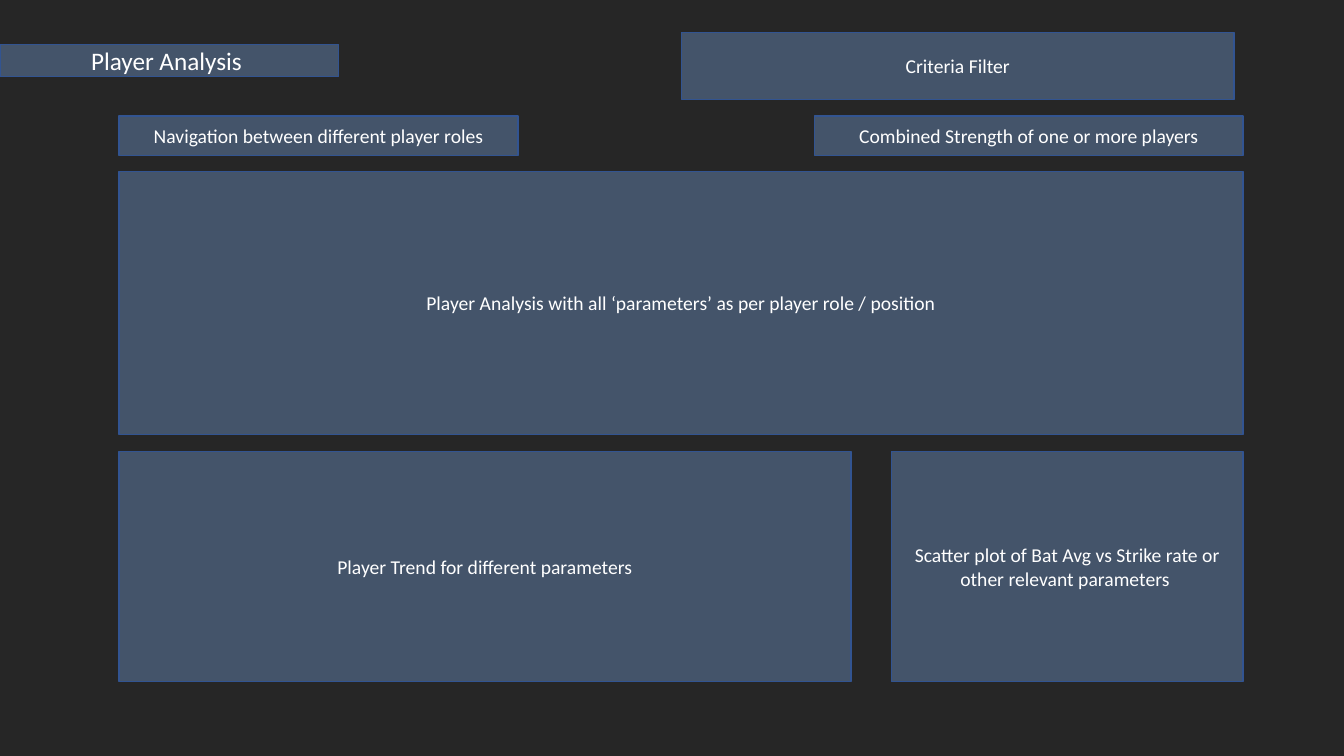
from pptx import Presentation
from pptx.dml.color import RGBColor
from pptx.enum.shapes import MSO_SHAPE
from pptx.enum.text import MSO_ANCHOR, MSO_AUTO_SIZE, PP_ALIGN
from pptx.util import Inches, Pt

BACKGROUND = RGBColor(0x26, 0x26, 0x26)
PANEL_FILL = RGBColor(0x44, 0x54, 0x6A)
PANEL_LINE = RGBColor(0x32, 0x54, 0x91)
TEXT = RGBColor(0xFF, 0xFF, 0xFF)


class Wireframe:
    font = "Calibri"
    title_size = Pt(18)
    panel_size = Pt(14)

    def __init__(self, slide):
        self.slide = slide
        slide.background.fill.solid()
        slide.background.fill.fore_color.rgb = BACKGROUND

    def style(self, shape, text, size):
        shape.fill.solid()
        shape.fill.fore_color.rgb = PANEL_FILL
        shape.line.color.rgb = PANEL_LINE
        shape.line.width = Pt(1)
        frame = shape.text_frame
        frame.word_wrap = True
        frame.auto_size = MSO_AUTO_SIZE.NONE
        frame.vertical_anchor = MSO_ANCHOR.MIDDLE
        paragraph = frame.paragraphs[0]
        paragraph.alignment = PP_ALIGN.CENTER
        run = paragraph.add_run()
        run.text = text
        run.font.name = self.font
        run.font.size = size
        run.font.color.rgb = TEXT

    def title(self, text, left, top, width, height):
        heading = self.slide.shapes.title
        heading.left, heading.top = Inches(left), Inches(top)
        heading.width, heading.height = Inches(width), Inches(height)
        self.style(heading, text, self.title_size)

    def panel(self, container, text, left, top, width, height):
        panel = container.add_shape(
            MSO_SHAPE.RECTANGLE,
            Inches(left), Inches(top), Inches(width), Inches(height),
        )
        panel.shadow.inherit = False
        self.style(panel, text, self.panel_size)

    def panel_group(self, panels):
        group = self.slide.shapes.add_group_shape()
        for text, *box in panels:
            self.panel(group.shapes, text, *box)


def main():
    deck = Presentation()
    deck.slide_width, deck.slide_height = Inches(13.33), Inches(7.5)
    wireframe = Wireframe(deck.slides.add_slide(deck.slide_layouts[5]))

    left, right = 1.18, 12.33
    navigation_top, navigation_height = 1.15, 0.39
    strength_width = 4.25
    detail_top, detail_height = 4.48, 2.28
    scatter_width = 3.49

    wireframe.title("Player Analysis ", 0, 0.44, 3.36, 0.32)
    wireframe.panel_group([
        ("Player Analysis with all ‘parameters’ as per player role / position",
         left, 1.7, right - left, 2.61),
        ("Player Trend for different parameters",
         left, detail_top, 7.26, detail_height),
        ("Combined Strength of one or more players",
         right - strength_width, navigation_top, strength_width, navigation_height),
        ("Scatter plot of Bat Avg vs Strike rate or other relevant parameters ",
         right - scatter_width, detail_top, scatter_width, detail_height),
        ("Navigation between different player roles",
         left, navigation_top, 3.96, navigation_height),
    ])
    wireframe.panel(wireframe.slide.shapes, "Criteria Filter", 6.76, 0.32, 5.48, 0.67)
    deck.save("out.pptx")


if __name__ == "__main__":
    main()
